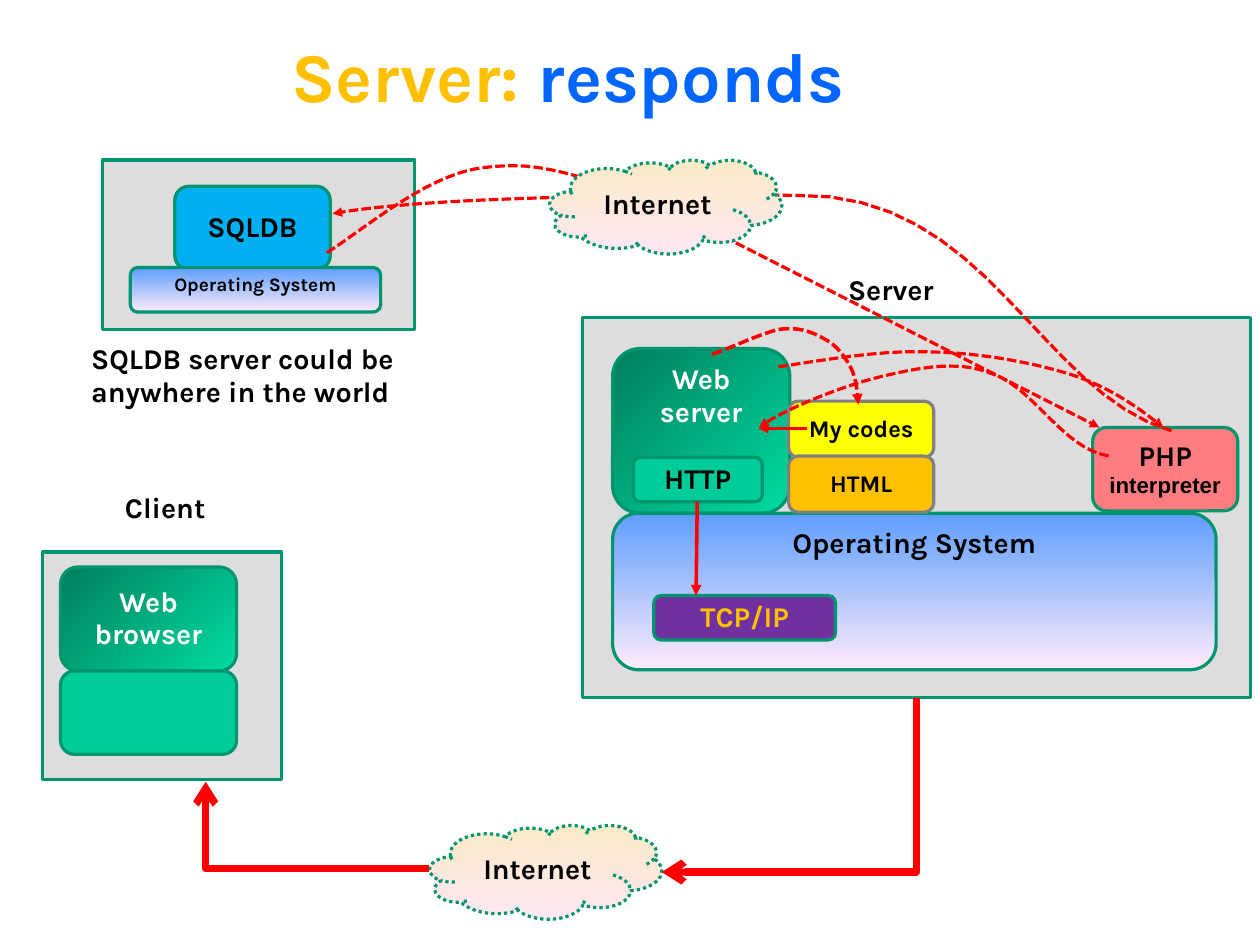
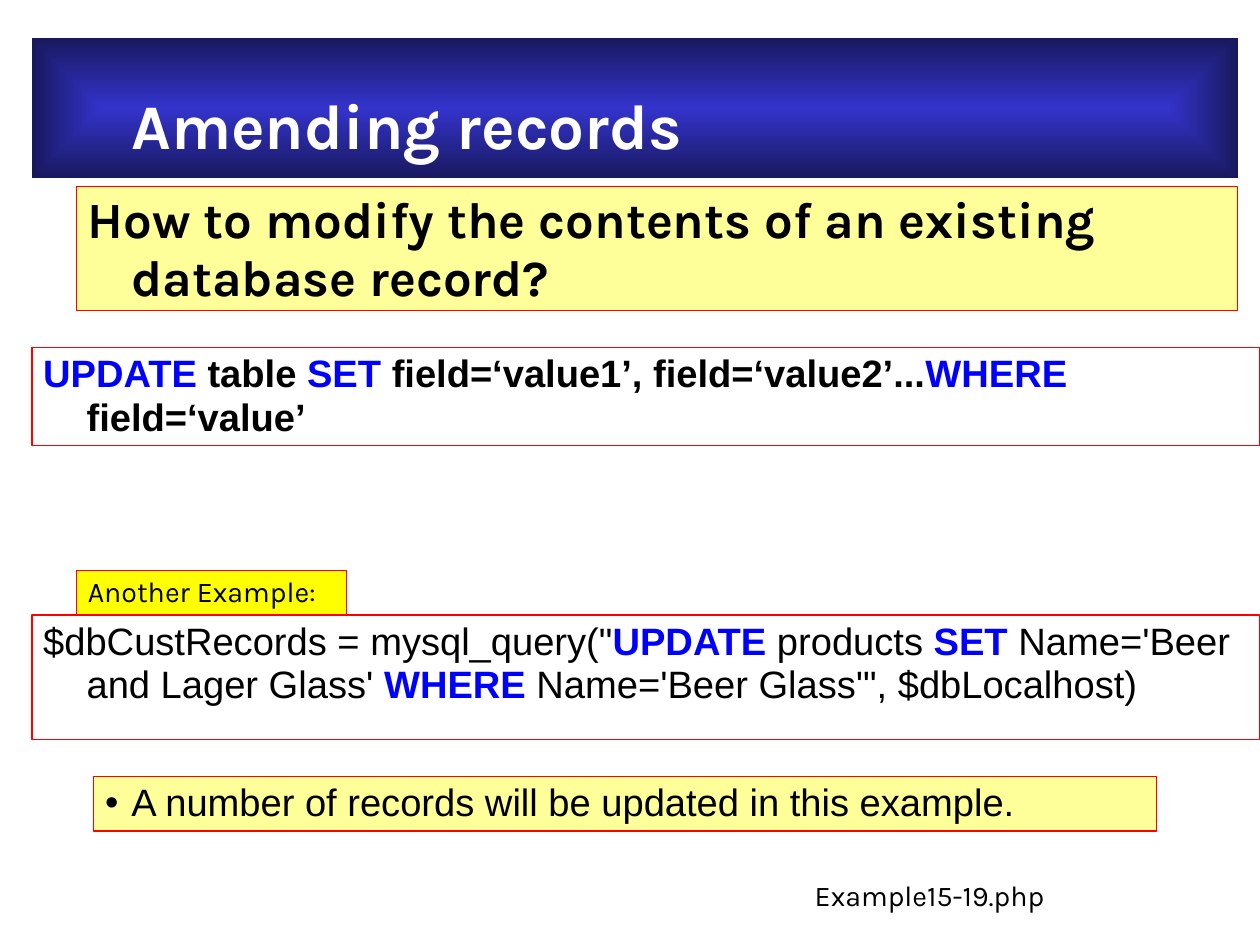
from lxml import etree
from pptx import Presentation
from pptx.dml.color import RGBColor
from pptx.enum.dml import MSO_LINE
from pptx.enum.shapes import MSO_CONNECTOR, MSO_SHAPE
from pptx.enum.text import MSO_ANCHOR, MSO_AUTO_SIZE, PP_ALIGN
from pptx.oxml.ns import qn
from pptx.util import Inches, Pt

RECT, ROUND, CLOUD = MSO_SHAPE.RECTANGLE, MSO_SHAPE.ROUNDED_RECTANGLE, MSO_SHAPE.CLOUD
STRAIGHT, ELBOW = MSO_CONNECTOR.STRAIGHT, MSO_CONNECTOR.ELBOW
DASH, DOT = MSO_LINE.SQUARE_DOT, MSO_LINE.ROUND_DOT
TOP, MIDDLE = MSO_ANCHOR.TOP, MSO_ANCHOR.MIDDLE
LEFT, CENTER = PP_ALIGN.LEFT, PP_ALIGN.CENTER
FIXED = MSO_AUTO_SIZE.NONE

WIDE, HIGH = 28 / 2.54, 21 / 2.54
HEAD, CODE = "Karla", "Arial"
BLACK, WHITE, RED, BLUE = "000000", "FFFFFF", "FF0000", "0000FF"
EDGE, GREY, PANEL, MINT = "00956F", "808080", "DDDDDD", "00CC99"
GOLD, YELLOW, PALE = "FFC000", "FFFF00", "FFFF99"
GREEN, SKY, PEACH = ("007F5B", "00DBA1", 45), ("5E9EFF", "FFEBFA", 90), ("FBEAC7", "FEE7F2", 90)
NAVY = ("3333CC", "18185E", None)


def rgb(code):
    """Turn a hex string into a colour."""
    return RGBColor.from_string(code)


def paint(shape, fill):
    """Fill a shape with a colour, or with (first, last, angle); no angle means from the centre."""
    if isinstance(fill, str):
        shape.fill.solid()
        shape.fill.fore_color.rgb = rgb(fill)
        return
    first, last, angle = fill
    shape.fill.gradient()
    for stop, code in zip(shape.fill.gradient_stops, (first, last)):
        stop.color.rgb = rgb(code)
    if angle is not None:
        shape.fill.gradient_angle = 360 - angle
        return
    grad = shape._element.spPr.find(qn("a:gradFill"))
    grad.remove(grad.find(qn("a:lin")))
    rays = etree.SubElement(grad, qn("a:path"), {"path": "rect"})
    etree.SubElement(rays, qn("a:fillToRect"), dict.fromkeys("ltrb", "50000"))


def pen(line, code, width, dash=None):
    """Set the colour, width and dash of a line."""
    line.color.rgb = rgb(code)
    line.width = Pt(width)
    if dash:
        line.dash_style = dash


def tip(shape, kind="triangle", end="a:tailEnd"):
    """Put an arrowhead at one end of a line."""
    ln = shape._element.spPr.find(qn("a:ln"))
    etree.SubElement(ln, qn(end), {"type": kind})


def write(shape, paras, font=HEAD, size=18, color=BLACK, bold=True, align=LEFT,
          anchor=TOP, inset=(.1, .05, .1, .05), wrap=True, after=0, hang=0, bullet=None):
    """Write paragraphs, each a string or a list of (text, changes) runs."""
    frame = shape.text_frame
    frame.auto_size, frame.word_wrap, frame.vertical_anchor = FIXED, wrap, anchor
    (frame.margin_left, frame.margin_top,
     frame.margin_right, frame.margin_bottom) = map(Inches, inset)
    for i, runs in enumerate([paras] if isinstance(paras, str) else paras):
        para = frame.add_paragraph() if i else frame.paragraphs[0]
        para.alignment, para.line_spacing = align, .95
        para.space_before, para.space_after = Pt(0), Pt(after)
        props = para._p.get_or_add_pPr()
        props.set("marL", str(Inches(hang)))
        props.set("indent", str(-Inches(hang)))
        if bullet:
            etree.SubElement(props, qn("a:buChar"), {"char": bullet})
        for text, change in [(runs, {})] if isinstance(runs, str) else runs:
            look = {"font": font, "size": size, "color": color, "bold": bold, **change}
            run = para.add_run()
            run.text = text
            run.font.name, run.font.bold = look["font"], look["bold"]
            run.font.size = Pt(look["size"])
            run.font.color.rgb = rgb(look["color"])


def box(slide, kind, area, fill, text=None, edge=EDGE, width=2, dash=None, **look):
    """Draw a filled shape, with centred text unless told otherwise."""
    shape = slide.shapes.add_shape(kind, *map(Inches, area))
    shape.shadow.inherit = False
    paint(shape, fill)
    pen(shape.line, edge, width, dash)
    if text:
        write(shape, text, **{"align": CENTER, "anchor": MIDDLE,
                              "inset": (.11, .06, .11, .06), **look})


def label(slide, area, text, **look):
    """Place plain text."""
    write(slide.shapes.add_textbox(*map(Inches, area)), text, **look)


def place(shape, area):
    """Move a placeholder to a box."""
    shape.left, shape.top, shape.width, shape.height = map(Inches, area)


def title(slide, area, runs, **look):
    """Place the slide title in the shared style."""
    place(slide.shapes.title, area)
    write(slide.shapes.title, [runs], **look)


def link(slide, start, end, width, kind=STRAIGHT):
    """Draw a red connector, straight or with one bend."""
    line = slide.shapes.add_connector(kind, *map(Inches, start + end))
    pen(line.line, RED, width)
    props = line._element.spPr
    etree.SubElement(props, qn("a:effectLst"))
    if kind == ELBOW:
        props.find(qn("a:prstGeom")).set("prst", "bentConnector2")
    return line


def curve(slide, start, *bends, steps=16, width=2):
    """Draw a dashed red arrow along cubic bends, each two controls and an end."""
    points = []
    a = start
    for b, c, d in bends:
        for n in range(1, steps + 1):
            t = n / steps
            u = 1 - t
            parts = (u ** 3, 3 * u * u * t, 3 * u * t * t, t ** 3)
            points.append(tuple(Inches(sum(k * p[i] for k, p in zip(parts, (a, b, c, d))))
                                for i in (0, 1)))
        a = d
    pencil = slide.shapes.build_freeform(*map(Inches, start))
    pencil.add_line_segments(points, close=False)
    shape = pencil.convert_to_shape()
    shape.shadow.inherit = False
    shape.fill.background()
    pen(shape.line, RED, width, DASH)
    tip(shape)


def store(slide, x, y, w, h):
    """Draw the database machine."""
    box(slide, RECT, (x, y, w, h), PANEL)
    box(slide, ROUND, (x + .63, y + .23, 1.36, .73), "00B0F0", "SQLDB")
    box(slide, ROUND, (x + .24, y + .94, 2.19, .39), SKY, "Operating System",
        size=12, anchor=TOP, inset=(.11, .04, .11, .06))
    label(slide, (x - .2, y + h + .08, 3.17, .67),
          ["SQLDB server could be ", "anywhere in the world"], wrap=False)


def client(slide, x, y, w, h):
    """Draw the client machine."""
    box(slide, RECT, (x, y, w, h), PANEL)
    label(slide, (x + .11, y - .58, 1.93, .4), "Client", align=CENTER,
          inset=(.11, .06, .11, .06))
    box(slide, ROUND, (x + .16, y + .13, 1.54, .91), GREEN, "Web browser", color=WHITE)
    box(slide, ROUND, (x + .16, y + 1.04, 1.54, .73), MINT)


def server(slide, x, y, w, h):
    """Draw the server machine and its inner arrows."""
    box(slide, RECT, (x, y, w, h), PANEL)
    label(slide, (x + 2.21, y - .44, 1.33, .4), "Server", inset=(.11, .06, .11, .06))
    box(slide, ROUND, (x + .26, y + .27, 1.55, 1.44), GREEN, "Web server",
        color=WHITE, anchor=TOP)
    box(slide, ROUND, (x + .26, y + 1.71, 5.28, 1.37), SKY, "Operating System", anchor=TOP)
    box(slide, ROUND, (x + 4.46, y + .96, 1.27, .73), "FF7C80",
        ["PHP", [("interpreter", {"font": CODE, "size": 14})]])
    for i, (name, fill) in enumerate((("My codes", YELLOW), ("HTML", GOLD))):
        box(slide, ROUND, (x + 1.8, y + .73 + .48 * i, 1.27, .49), fill, name,
            edge=GREY, size=15, inset=(.05, .06, .05, .06))
    box(slide, ROUND, (x + .44, y + 1.22, 1.13, .39), MINT, "HTTP")
    box(slide, ROUND, (x + .62, y + 2.43, 1.59, .39), "7030A0", "TCP/IP", color=GOLD)
    tip(link(slide, (x + 1, y + 1.61), (x + .99, y + 2.43), 2.25))
    tip(link(slide, (x + 1.96, y + .97), (x + 1.54, y + .97), 1.5))
    curve(slide, (x + 1.71, y + .43),
          ((x + 2.17, y + .36), (x + 2.63, y + .28), (x + 3.07, y + .3)),
          ((x + 3.5, y + .31), (x + 3.98, y + .4), (x + 4.31, y + .51)),
          ((x + 4.65, y + .63), (x + 4.86, y + .79), (x + 5.08, y + .96)))
    curve(slide, (x + 4.6, y + 1.21),
          ((x + 4.18, y + 1.14), (x + 3.94, y + .59), (x + 3.55, y + .48)),
          ((x + 3.27, y + .37), (x + 2.92, y + .44), (x + 2.59, y + .52)),
          ((x + 2.26, y + .6), (x + 1.74, y + .81), (x + 1.54, y + .96)))
    curve(slide, (x + 1.13, y + .32),
          ((x + 1.33, y + .25), (x + 1.57, y + .13), (x + 1.73, y + .1)),
          ((x + 1.9, y + .08), (x + 2.02, y + .13), (x + 2.12, y + .19)),
          ((x + 2.22, y + .24), (x + 2.29, y + .34), (x + 2.34, y + .43)),
          ((x + 2.39, y + .52), (x + 2.4, y + .64), (x + 2.41, y + .76)), width=2.25)


def cloud(slide, x, y, w=2.03, h=.82):
    """Draw the network as a dotted cloud."""
    box(slide, CLOUD, (x, y, w, h), PEACH, "Internet", dash=DOT, wrap=False)


def respond(slide):
    """Build the slide that shows how the server responds."""
    title(slide, (.55, .22, 8.84, .93),
          [("Server: ", {"color": GOLD}), ("responds", {"color": "0066FF"})],
          size=44, align=CENTER, anchor=MIDDLE, inset=(0, 0, 0, 0))
    store(slide, .9, 1.4, 2.73, 1.48)
    client(slide, .37, 4.83, 2.09, 1.99)
    server(slide, 5.1, 2.78, 5.84, 3.32)
    curve(slide, (10.25, 3.77), ((9.07, 3.42), (8.64, 1.67), (6.96, 1.71)),
          ((5.76, 1.7), (3.69, 1.72), (2.91, 1.87)))
    curve(slide, (2.86, 2.21), ((3.13, 2.05), (3.71, 1.54), (4.2, 1.47)),
          ((4.56, 1.43), (4.78, 1.41), (5.78, 1.79)),
          ((5.78, 1.79), (9.62, 3.74), (9.62, 3.74)))
    cloud(slide, 4.81, 1.4)
    cloud(slide, 3.76, 7.22)
    tip(link(slide, (3.75, 7.6), (1.8, 6.84), 4.5, ELBOW), "arrow")
    tip(link(slide, (5.79, 7.63), (8.02, 6.11), 4.5, ELBOW), "arrow", "a:headEnd")


def note(slide, area, text, fill=WHITE, **look):
    """Draw a red-edged box of left-aligned text."""
    box(slide, RECT, area, fill, text, edge=RED, width=.74,
        **{"align": LEFT, "anchor": TOP, "inset": (.1, .05, .1, .05), **look})


def amend(slide):
    """Build the slide on changing records."""
    title(slide, (.28, .33, 10.55, 1.23), [("Amending records", {})],
          size=40, color=WHITE, inset=(.87, .47, 0, 0))
    paint(slide.shapes.title, NAVY)
    body = slide.placeholders[1]
    place(body, (.82, 6.79, 9.3, .48))
    paint(body, PALE)
    pen(body.line, RED, .74)
    write(body, "A number of records will be updated in this example.",
          font=CODE, size=24, bold=False, hang=.23, bullet="•")
    key, bare = {"color": BLUE, "bold": True}, {}
    note(slide, (.67, 1.63, 10.16, 1.09),
         "How to modify the contents of an existing database record?",
         PALE, size=32, hang=.38, after=14.3)
    code = {"font": CODE, "size": 24, "hang": .38, "after": 14.3}
    note(slide, (.28, 3.04, 10.74, .86),
         [[("UPDATE ", key), ("table ", bare), ("SET ", key),
           ("field=‘value1’, field=‘value2’...", bare), ("WHERE", key),
           (" field=‘value’", bare)]], **code)
    note(slide, (.28, 5.38, 10.74, 1.09),
         [[('$dbCustRecords = mysql_query("', bare), ("UPDATE ", key),
           ("products ", bare), ("SET", key), (" Name='Beer and Lager Glass' ", bare),
           ("WHERE", key), (" Name='Beer Glass'\", $dbLocalhost)", bare)]],
         bold=False, **code)
    note(slide, (.67, 4.99, 2.36, .39), "Another Example:", YELLOW, bold=False, wrap=False)
    label(slide, (7.03, 7.65, 2.4, .39), "Example15-19.php", bold=False, wrap=False)


def main():
    """Make the deck."""
    deck = Presentation()
    deck.slide_width, deck.slide_height = Inches(WIDE), Inches(HIGH)
    for layout, build in ((5, respond), (1, amend)):
        build(deck.slides.add_slide(deck.slide_layouts[layout]))
    deck.save("out.pptx")


main()
